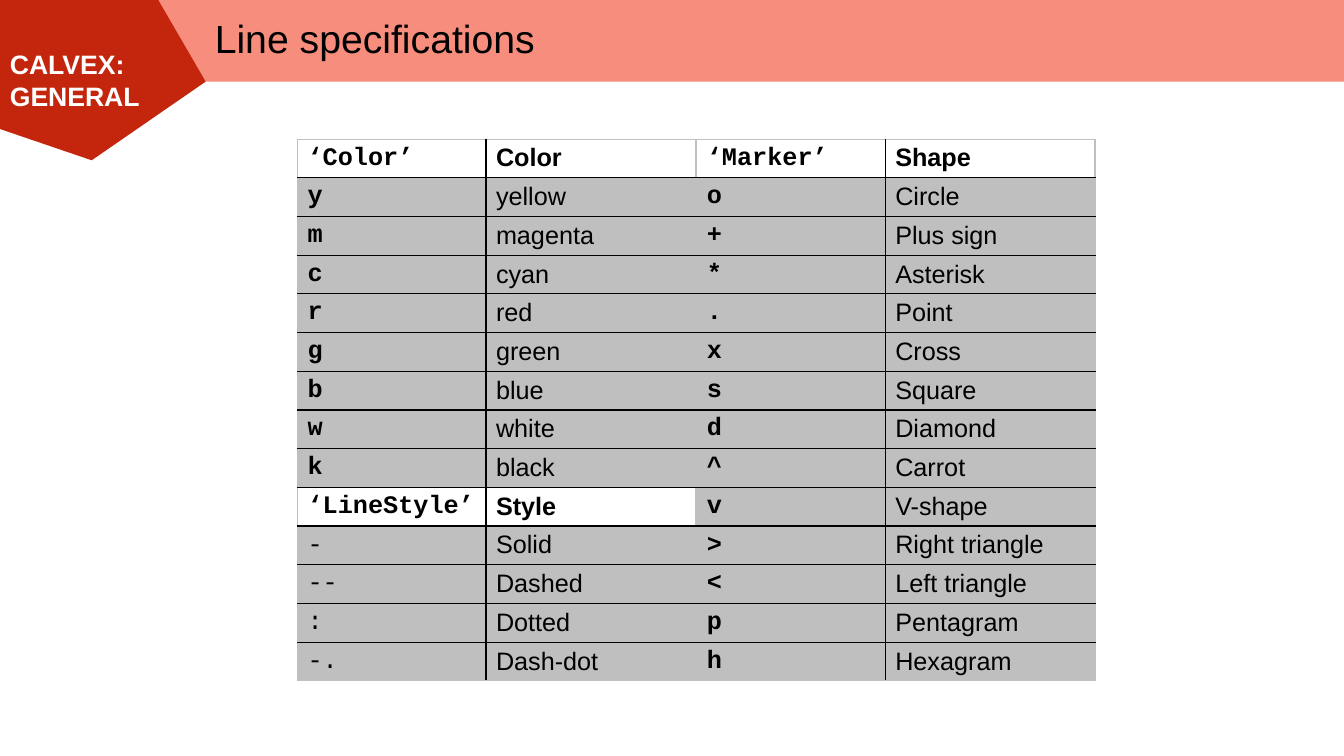
from pptx import Presentation
from pptx.dml.color import RGBColor
from pptx.enum.shapes import MSO_SHAPE
from pptx.enum.text import MSO_ANCHOR as Anchor, PP_ALIGN as Align
from pptx.oxml import parse_xml
from pptx.oxml.ns import nsdecls
from pptx.util import Pt

PX = 9144  # EMU per px, 100 px to the inch
SLIDE_WIDTH, SLIDE_HEIGHT = 1333, 750

BLACK = RGBColor(0x00, 0x00, 0x00)
WHITE = RGBColor(0xFF, 0xFF, 0xFF)
GRAY = RGBColor(0xBF, 0xBF, 0xBF)
SALMON = RGBColor(0xF7, 0x8D, 0x7C)
RED = RGBColor(0xC3, 0x26, 0x0C)
SANS, MONO = "Arial", "Courier New"

BADGE_POINTS = [(157, 0), (0, 0), (0, 128), (91, 159), (204, 81)]
COLUMN_WIDTHS = (187, 208)
ROW_HEIGHT = 37

COLORS_AND_STYLES = [
    ("‘Color’", "Color"), ("y", "yellow"), ("m", "magenta"), ("c", "cyan"),
    ("r", "red"), ("g", "green"), ("b", "blue"), ("w", "white"), ("k", "black"),
    ("‘LineStyle’", "Style"), ("-", "Solid"), ("--", "Dashed"),
    (":", "Dotted"), ("-.", "Dash-dot"),
]
MARKERS = [
    ("‘Marker’", "Shape"), ("o", "Circle"), ("+", "Plus sign"),
    ("*", "Asterisk"), (".", "Point"), ("x", "Cross"), ("s", "Square"),
    ("d", "Diamond"), ("^", "Carrot"), ("v", "V-shape"),
    (">", "Right triangle"), ("<", "Left triangle"), ("p", "Pentagram"),
    ("h", "Hexagram"),
]


def set_font(paragraph, name, size, color, bold=False):
    font = paragraph.font
    font.name, font.size, font.bold = name, Pt(size), bold
    font.color.rgb = color


def paint(shape, color):
    shape.shadow.inherit = False
    shape.fill.solid()
    shape.fill.fore_color.rgb = color
    shape.line.fill.background()


def add_band(slide, left, top, width, height):
    band = slide.shapes.add_shape(
        MSO_SHAPE.RECTANGLE, left * PX, top * PX, width * PX, height * PX)
    paint(band, SALMON)


def add_badge(slide, left, top, text):
    points = [(left + x, top + y) for x, y in BADGE_POINTS]
    builder = slide.shapes.build_freeform(*points[0], scale=PX)
    builder.add_line_segments(points[1:], close=True)
    badge = builder.convert_to_shape()
    paint(badge, RED)
    frame = badge.text_frame
    frame.word_wrap = True
    frame.vertical_anchor = Anchor.MIDDLE
    paragraph = frame.paragraphs[0]
    paragraph.text = text
    paragraph.alignment = Align.LEFT
    set_font(paragraph, SANS, 19, WHITE, bold=True)


def place_title(slide, left, top, width, height, text):
    title = slide.shapes.title
    title.left, title.top = left * PX, top * PX
    title.width, title.height = width * PX, height * PX
    title.text_frame.vertical_anchor = Anchor.MIDDLE
    paragraph = title.text_frame.paragraphs[0]
    paragraph.text = text
    paragraph.alignment = Align.LEFT
    paragraph.line_spacing = 0.9
    paragraph.space_before = Pt(10)
    set_font(paragraph, SANS, 28, BLACK)
    # Bring the title in front of the band
    title.element.getparent().append(title.element)


def add_borders(cell, outer_sides):
    properties = cell._tc.get_or_add_tcPr()
    for side in "LRTB":
        color = GRAY if side in outer_sides else BLACK
        properties.append(parse_xml(
            f'<a:ln{side} {nsdecls("a")} w="{Pt(1)}"><a:solidFill>'
            f'<a:srgbClr val="{color}"/></a:solidFill></a:ln{side}>'))


def add_code_table(slide, left, top, height, rows):
    """Codes on the left, their meaning on the right."""
    frame = slide.shapes.add_table(
        len(rows), 2, left * PX, top * PX, sum(COLUMN_WIDTHS) * PX, height * PX)
    table = frame.table
    table.first_row = table.horz_banding = False
    for column, width in zip(table.columns, COLUMN_WIDTHS):
        column.width = width * PX
    in_line_styles = False
    for i, texts in enumerate(rows):
        table.rows[i].height = ROW_HEIGHT * PX
        is_header = texts[0].startswith("‘")
        in_line_styles = in_line_styles or texts[0] == "‘LineStyle’"
        for j, text in enumerate(texts):
            cell = table.cell(i, j)
            outer_sides = "LR"[j]
            if i == 0:
                outer_sides += "T"
            elif i == len(rows) - 1:
                outer_sides += "B"
            add_borders(cell, outer_sides)
            cell.fill.solid()
            cell.fill.fore_color.rgb = WHITE if is_header else GRAY
            paragraph = cell.text_frame.paragraphs[0]
            paragraph.text = text
            bold = is_header or (j == 0 and not in_line_styles)
            set_font(paragraph, (MONO, SANS)[j], 18, BLACK, bold)
    frame.height = height * PX


def build_slide(presentation):
    slide = presentation.slides.add_slide(presentation.slide_layouts[5])
    # Header
    add_band(slide, 92, 0, SLIDE_WIDTH - 92, 81)
    add_badge(slide, 0, 0, "CALVEX: GENERAL")
    place_title(slide, 203, 9, 1141, 62, "Line specifications")
    # Two tables side by side
    for i, rows in enumerate((COLORS_AND_STYLES, MARKERS)):
        add_code_table(slide, 295 + i * 396, 138, 560, rows)


def main():
    presentation = Presentation()
    presentation.slide_width = SLIDE_WIDTH * PX
    presentation.slide_height = SLIDE_HEIGHT * PX
    build_slide(presentation)
    presentation.save("out.pptx")


if __name__ == "__main__":
    main()
